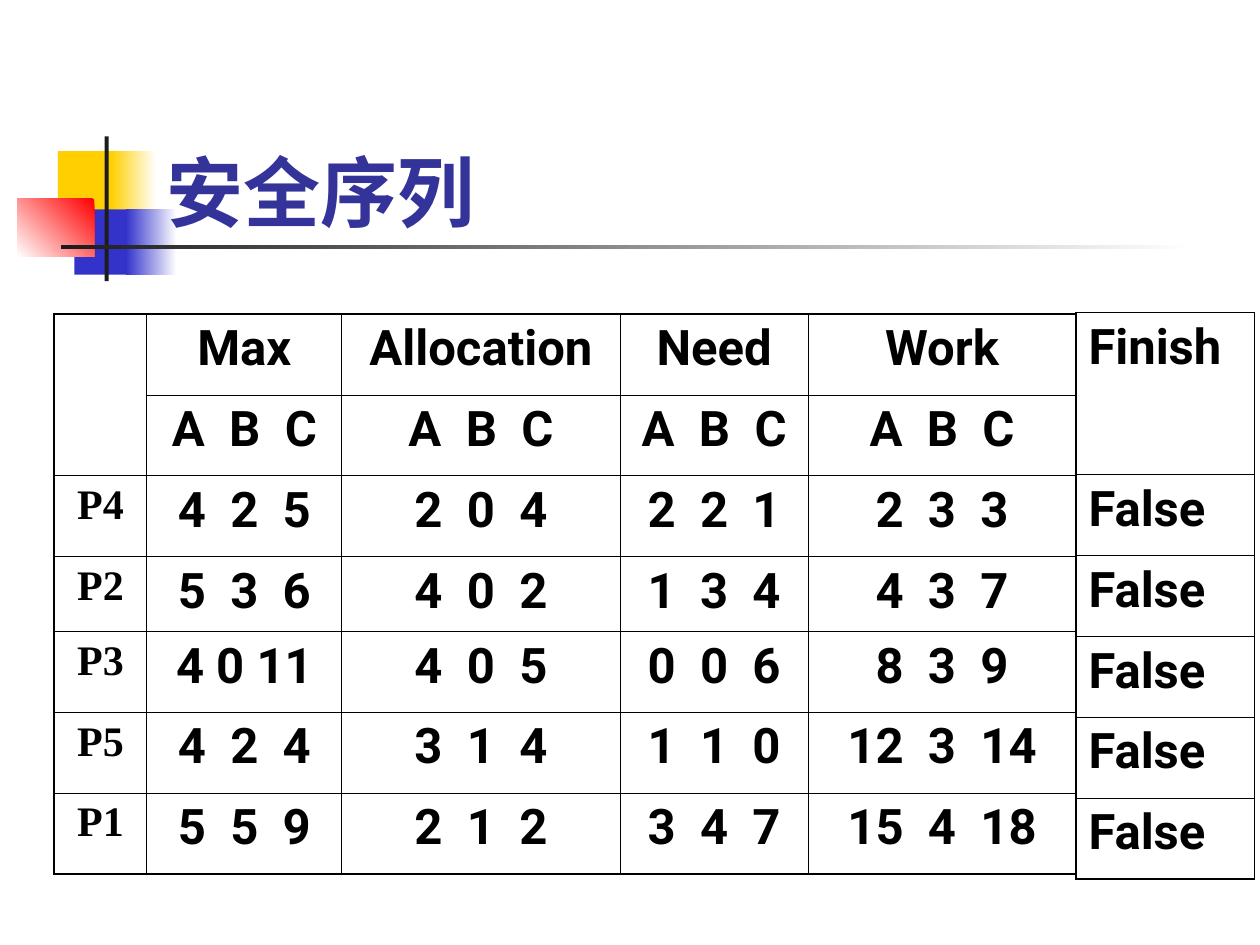
import lxml.etree
import pptx
import pptx.dml.color
import pptx.enum.shapes
import pptx.enum.text
import pptx.oxml.ns
import pptx.util
from pptx.util import Cm

ALIGN = pptx.enum.text.PP_ALIGN
THIN, THICK = 0.45, 1.08
ROW_HEIGHT = 1.63

BLOCKS = [
    (1.17, 3.05, 1.22, 1.32, ["FFCF01"], 0),
    (2.24, 3.05, 0.91, 1.32, ["FFFFFF", "FFCF01"], 180),
    (1.5, 4.22, 1.17, 1.32, ["3333CC"], 0),
    (2.54, 4.22, 1.02, 1.32, ["FFFFFF", "3333CC"], 180),
    (0.35, 4.01, 1.55, 1.17, ["FF0000", "FFFFFF"], 225),
    (2.11, 2.75, 0.08, 2.92, ["1C1C1C"], 0),
    (1.23, 4.94, 22.86, 0.09, ["FFFFFF", "1C1C1C"], 180),
]

ALLOCATION_ROWS = [
    ["", "Max", "Allocation", "Need", "Work"],
    [""] + ["A  B  C"] * 4,
    ["P4", "4  2  5", "2  0  4", "2  2  1", "2  3  3"],
    ["P2", "5  3  6", "4  0  2", "1  3  4", "4  3  7"],
    ["P3", "4 0 11", "4  0  5", "0  0  6", "8  3  9"],
    ["P5", "4  2  4", "3  1  4", "1  1  0", "12  3  14"],
    ["P1", "5  5  9", "2  1  2", "3  4  7", "15  4  18"],
]
FINISH_ROWS = [["Finish"]] + [["False"]] * 5


def rgb(color):
    """Turn a hex string into a colour."""
    return pptx.dml.color.RGBColor.from_string(color)


def style_text(paragraph, size, color, font_name, align):
    """Format a paragraph and its runs in bold."""
    paragraph.alignment = align
    for run in paragraph.runs:
        run.font.size = pptx.util.Pt(size)
        run.font.bold = True
        run.font.name = font_name
        run.font.color.rgb = rgb(color)


def add_block(slide, left, top, width, height, colors, angle):
    """Add a borderless rectangle with a plain or two-colour fill."""
    block = slide.shapes.add_shape(
        pptx.enum.shapes.MSO_SHAPE.RECTANGLE,
        Cm(left), Cm(top), Cm(width), Cm(height))
    block.shadow.inherit = False
    block.line.fill.background()
    if len(colors) == 1:
        block.fill.solid()
        block.fill.fore_color.rgb = rgb(colors[0])
        return
    block.fill.gradient()
    block.fill.gradient_angle = angle
    for stop, color in zip(block.fill.gradient_stops, colors):
        stop.color.rgb = rgb(color)


def place_title(slide, text):
    """Fill the title placeholder and bring it in front of the blocks."""
    title = slide.shapes.title
    title.left, title.top = Cm(3.1), Cm(1.73)
    title.width, title.height = Cm(21.64), Cm(3.17)
    frame = title.text_frame
    frame.text = text
    frame.auto_size = pptx.enum.text.MSO_AUTO_SIZE.NONE
    frame.vertical_anchor = pptx.enum.text.MSO_ANCHOR.BOTTOM
    style_text(frame.paragraphs[0], 44, "333399", "Roboto", ALIGN.LEFT)
    title.element.getparent().append(title.element)


def set_borders(cell, widths):
    """Draw black lines of the given widths on the sides of a cell."""
    properties = cell._tc.get_or_add_tcPr()
    qn = pptx.oxml.ns.qn
    for side, width in widths.items():
        line = lxml.etree.SubElement(
            properties, qn(f"a:ln{side}"), w=str(pptx.util.Pt(width)))
        fill = lxml.etree.SubElement(line, qn("a:solidFill"))
        lxml.etree.SubElement(fill, qn("a:srgbClr"), val="000000")


def add_grid(slide, left, top, widths, heights, rows, align):
    """Add an unfilled table with a thicker outer border."""
    frame = slide.shapes.add_table(
        len(heights), len(widths), Cm(left), Cm(top),
        Cm(sum(widths)), Cm(sum(heights)))
    grid = frame.table
    grid.first_row = grid.horz_banding = False
    for column, width in zip(grid.columns, widths):
        column.width = Cm(width)
    for row, height in zip(grid.rows, heights):
        row.height = Cm(height)
    for r, row in enumerate(rows):
        for c, text in enumerate(row):
            cell = grid.cell(r, c)
            set_borders(cell, {
                "L": THICK if c == 0 else THIN,
                "R": THICK if c == len(widths) - 1 else THIN,
                "T": THICK if r == 0 else THIN,
                "B": THICK if r == len(heights) - 1 else THIN,
            })
            cell.fill.background()
            cell.text_frame.text = text
            is_process = text.startswith("P")
            style_text(cell.text_frame.paragraphs[0],
                       24 if is_process else 28, "000000",
                       "Times New Roman" if is_process else "Roboto", align)
    return grid


def main():
    """Build the safe sequence slide."""
    deck = pptx.Presentation()
    deck.slide_width, deck.slide_height = Cm(25.4), Cm(19.05)
    slide = deck.slides.add_slide(deck.slide_layouts[5])
    for block in BLOCKS:
        add_block(slide, *block)
    place_title(slide, "安全序列")
    allocation_heights = [ROW_HEIGHT] * 3 + [1.51] + [ROW_HEIGHT] * 3
    allocation = add_grid(
        slide, 1.09, 6.33, [1.87, 3.93, 5.61, 3.79, 5.4],
        allocation_heights, ALLOCATION_ROWS, ALIGN.CENTER)
    allocation.cell(0, 0).merge(allocation.cell(1, 0))
    add_grid(slide, 21.69, 6.3, [3.6], [3.27] + [ROW_HEIGHT] * 5,
             FINISH_ROWS, ALIGN.LEFT)
    deck.save("out.pptx")


if __name__ == "__main__":
    main()
